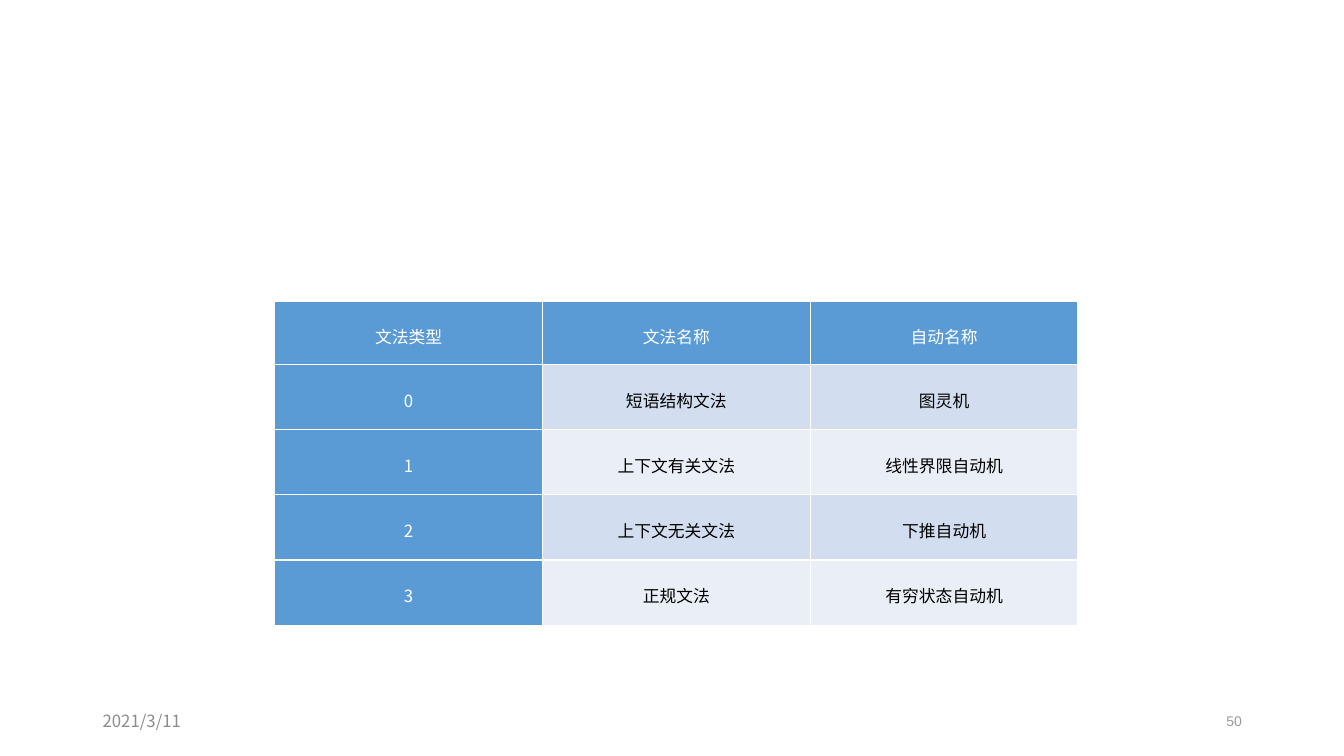
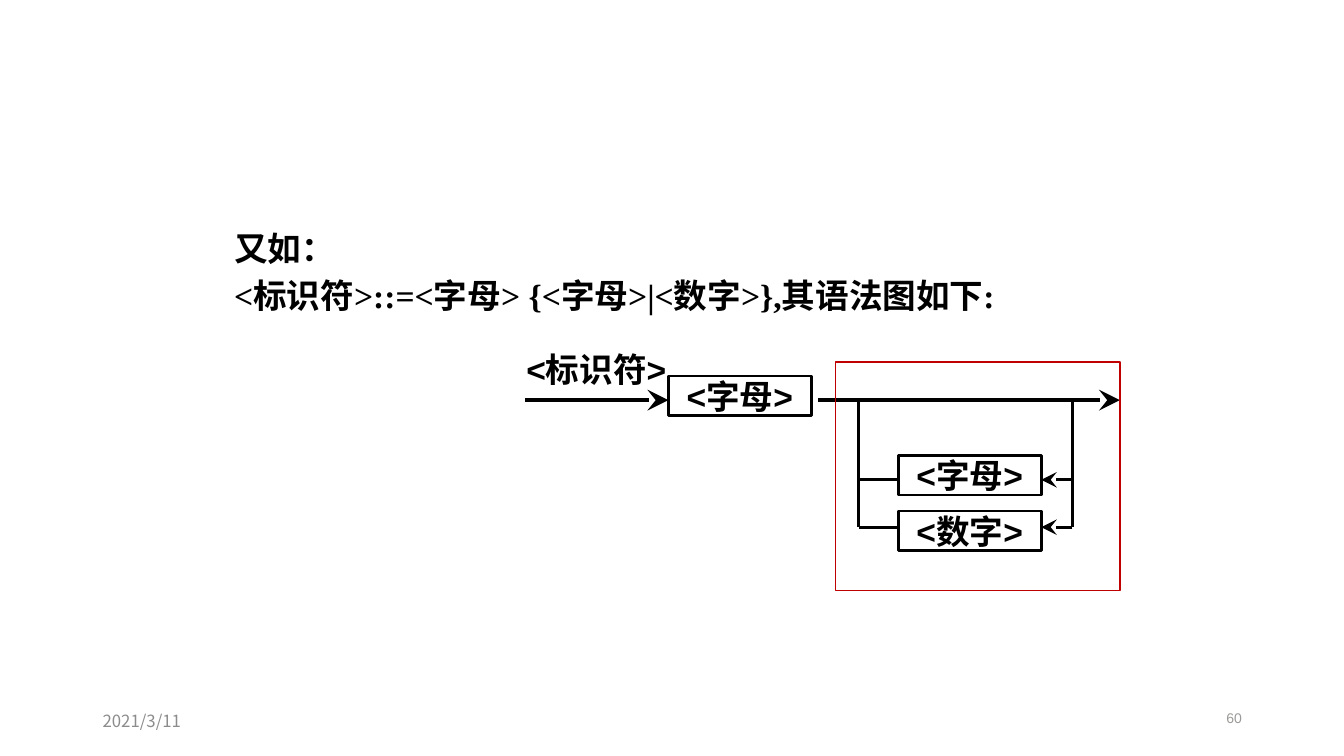
import pptx
import pptx.dml.color
import pptx.enum.shapes
import pptx.enum.text
import pptx.oxml.ns
import pptx.util
from lxml import etree

Pt = pptx.util.Pt
qn = pptx.oxml.ns.qn
ALIGN = pptx.enum.text.PP_ALIGN
MIDDLE = pptx.enum.text.MSO_ANCHOR.MIDDLE


def color(value):
    return pptx.dml.color.RGBColor.from_string(value)


class Deck:
    BLACK, WHITE, RED = "000000", "FFFFFF", "C00000"
    HEADER, BANDS = "5B9BD5", ("D2DEEF", "EAEFF7")
    DATE_GREY, NUMBER_GREY = "8C8C8C", "9B9A98"
    CJK, SANS, SERIF = "Noto Sans CJK SC", "Arial", "Times New Roman"

    def __init__(self):
        self.prs = pptx.Presentation()
        self.prs.slide_width, self.prs.slide_height = Pt(960), Pt(540)
        self.s = None

    def slide(self, layout, number, number_top):
        self.s = self.prs.slides.add_slide(self.prs.slide_layouts[layout])
        title = self.s.shapes.title
        if title is not None:
            title.element.getparent().remove(title.element)
        self.text("2021/3/11", 66.24, 500.4, 216, 28.8, 12, self.CJK, self.DATE_GREY)
        self.text(number, 678.24, number_top, 216, 28.8, 10, self.SANS,
                  self.NUMBER_GREY, ALIGN.RIGHT)

    def run(self, p, text, size, font, ink, bold=False):
        r = p.add_run()
        r.text = text
        r.font.size, r.font.bold, r.font.name = Pt(size), bold, font
        r.font.color.rgb = color(ink)
        etree.SubElement(r.font._element, qn("a:ea"), typeface=self.CJK)

    def text(self, text, x, y, w, h, size, font, ink, align=ALIGN.LEFT):
        sp = self.s.shapes.add_textbox(Pt(x), Pt(y), Pt(w), Pt(h))
        tf = sp.text_frame
        tf.word_wrap, tf.vertical_anchor = True, MIDDLE
        p = tf.paragraphs[0]
        p.alignment = align
        self.run(p, text, size, font, ink)

    def symbol(self, sp, text):
        tf = sp.text_frame
        tf.word_wrap, tf.vertical_anchor = False, MIDDLE
        p = tf.paragraphs[0]
        p.alignment = ALIGN.CENTER
        self.run(p, text, 24, self.SANS, self.BLACK, True)

    def label(self, text, x, y, w, h):
        self.symbol(self.s.shapes.add_textbox(Pt(x), Pt(y), Pt(w), Pt(h)), text)

    def frame(self, x, y, w, h, ink, weight):
        sp = self.s.shapes.add_shape(pptx.enum.shapes.MSO_SHAPE.RECTANGLE,
                                     Pt(x), Pt(y), Pt(w), Pt(h))
        sp.shadow.inherit = False
        sp.fill.background()
        sp.line.color.rgb, sp.line.width = color(ink), Pt(weight)
        return sp

    def node(self, text, x, y):
        self.symbol(self.frame(x, y, 102.24, 28.08, self.BLACK, 2), text)

    def line(self, x1, y1, x2, y2, weight=2.25, arrow=False):
        sp = self.s.shapes.add_connector(pptx.enum.shapes.MSO_CONNECTOR.STRAIGHT,
                                         Pt(x1), Pt(y1), Pt(x2), Pt(y2))
        sp.line.color.rgb, sp.line.width = color(self.BLACK), Pt(weight)
        if arrow:
            etree.SubElement(sp.line._get_or_add_ln(), qn("a:tailEnd"),
                             type="stealth", w="lg", len="lg")
        etree.SubElement(sp.element.spPr, qn("a:effectLst"))

    def body(self, lines, x, y, w, h, pitch):
        sp = self.s.placeholders[1]
        sp.left, sp.top, sp.width, sp.height = Pt(x), Pt(y), Pt(w), Pt(h)
        tf = sp.text_frame
        tf.word_wrap, tf.auto_size = True, pptx.enum.text.MSO_AUTO_SIZE.NONE
        for i, text in enumerate(lines):
            p = tf.add_paragraph() if i else tf.paragraphs[0]
            pPr = p._p.get_or_add_pPr()
            pPr.set("marL", str(int(Pt(33.12))))
            pPr.set("indent", str(int(Pt(-30.24))))
            etree.SubElement(pPr, qn("a:buNone"))
            p.space_before, p.line_spacing = Pt(0), Pt(pitch)
            self.run(p, text, 24, self.SERIF, self.BLACK, True)

    def cell(self, c, text, fill, ink):
        tcPr = c._tc.get_or_add_tcPr()
        for side in "LRTB":
            ln = etree.SubElement(tcPr, qn("a:ln" + side), w=str(int(Pt(1))))
            solid = etree.SubElement(ln, qn("a:solidFill"))
            etree.SubElement(solid, qn("a:srgbClr"), val=self.WHITE)
        c.fill.solid()
        c.fill.fore_color.rgb = color(fill)
        c.margin_left = c.margin_right = Pt(5)
        c.margin_top = c.margin_bottom = Pt(0)
        c.vertical_anchor = MIDDLE
        p = c.text_frame.paragraphs[0]
        p.alignment, p.line_spacing = ALIGN.CENTER, 1.25
        self.run(p, text, 12, self.CJK, ink)

    def table(self, rows, x, y, col_width, head_height, row_height):
        n = len(rows[0])
        height = head_height + row_height * (len(rows) - 1)
        t = self.s.shapes.add_table(len(rows), n, Pt(x), Pt(y),
                                    Pt(col_width * n), Pt(height)).table
        for col in t.columns:
            col.width = Pt(col_width)
        for i, row in enumerate(rows):
            t.rows[i].height = Pt(row_height if i else head_height)
            for j, text in enumerate(row):
                if i and j:
                    fill, ink = self.BANDS[(i - 1) % 2], self.BLACK
                else:
                    fill, ink = self.HEADER, self.WHITE
                self.cell(t.cell(i, j), text, fill, ink)


def grammar_types(deck):
    deck.slide(6, "50", 500.4)
    deck.table([
        ("文法类型", "文法名称", "自动名称"),
        ("0", "短语结构文法", "图灵机"),
        ("1", "上下文有关文法", "线性界限自动机"),
        ("2", "上下文无关文法", "下推自动机"),
        ("3", "正规文法", "有穷状态自动机"),
    ], 196.2, 215.3, 191.3, 45, 46.6)


def syntax_diagram(deck):
    deck.slide(1, "60", 498.24)
    main, left, right = 285.84, 613.44, 766.08
    node_left, node_right = 641.52, 743.76
    branches = (("<字母>", 325.44, 342.72), ("<数字>", 365.04, 376.56))
    deck.label("<标识符>", 355.9, 249.84, 140, 28.08)
    deck.node("<字母>", 477.36, 268.56)
    deck.line(375.12, main, 477.36, main, 3, True)
    deck.line(584.64, main, 799.92, main, 3, True)
    for text, top, middle in branches:
        deck.node(text, node_left, top)
        deck.line(left, middle, node_left, middle)
        deck.line(right, middle, node_right, middle, arrow=True)
    for x in (left, right):
        deck.line(x, main, x, branches[-1][2])
    deck.body(["又如：", "<标识符>::=<字母> {<字母>|<数字>},其语法图如下:"],
              157.2, 154.6, 683.28, 116, 33.6)
    deck.frame(596.88, 258.48, 203.04, 163.44, deck.RED, 1)


def main():
    deck = Deck()
    grammar_types(deck)
    syntax_diagram(deck)
    deck.prs.save("out.pptx")


if __name__ == "__main__":
    main()
